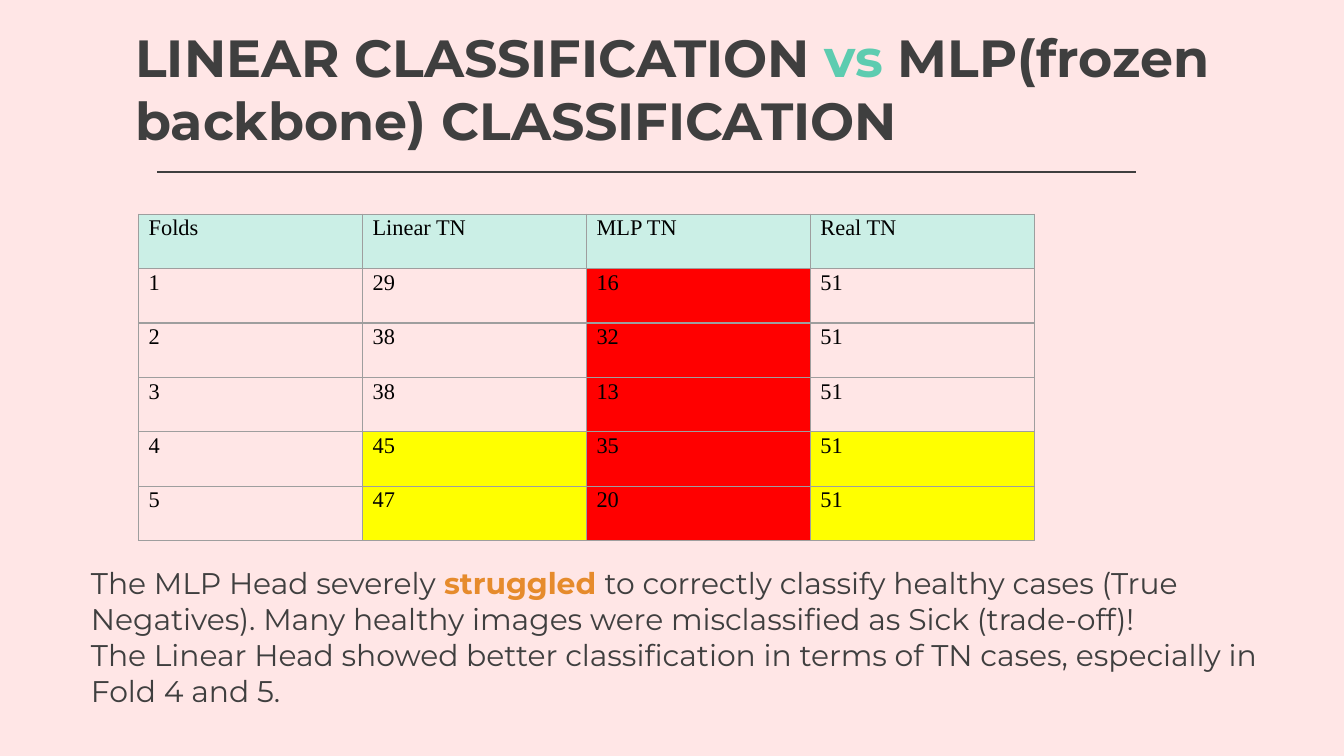
from lxml.etree import SubElement
from pptx import Presentation
from pptx.dml.color import RGBColor
from pptx.enum.shapes import MSO_CONNECTOR as Connector
from pptx.enum.text import MSO_ANCHOR as Anchor
from pptx.oxml.ns import qn
from pptx.util import Cm, Pt

DARK = "3F3F3F"
GREEN = "5DCCB0"
ORANGE = "E68B2C"
PINK = "FFE6E6"
MINT = "CBEFE6"
RED = "FF0000"
YELLOW = "FFFF00"
GRAY = "9E9E9E"
BLACK = "000000"

TITLE = [[
    ("LINEAR CLASSIFICATION ", DARK, True),
    ("vs ", GREEN, True),
    ("MLP(frozen backbone) CLASSIFICATION", DARK, True),
]]
FINDINGS = [
    [
        ("The MLP Head severely ", DARK, False),
        ("struggled ", ORANGE, True),
        ("to correctly classify healthy cases (True Negatives). "
         "Many healthy images were misclassified as Sick (trade-off)!", DARK, False),
    ],
    [("The Linear Head showed better classification in terms of TN cases, "
      "especially in Fold 4 and 5.", DARK, False)],
]
HEADERS = ["Folds", "Linear TN", "MLP TN", "Real TN"]
LINEAR_TN = [29, 38, 38, 45, 47]
MLP_TN = [16, 32, 13, 35, 20]
REAL_TN = 51
MLP_COLUMN = HEADERS.index("MLP TN")
BEST_FOLDS = (4, 5)


def color(value):
    return RGBColor.from_string(value)


def add_text(slide, left, top, width, height, paragraphs, size):
    frame = slide.shapes.add_textbox(Cm(left), Cm(top), Cm(width), Cm(height)).text_frame
    frame.word_wrap = True
    frame.vertical_anchor = Anchor.BOTTOM
    frame.margin_left = frame.margin_right = Cm(0.25)
    frame.margin_top = frame.margin_bottom = Cm(0.25)
    for index, runs in enumerate(paragraphs):
        paragraph = frame.add_paragraph() if index else frame.paragraphs[0]
        paragraph.font.name = "Montserrat"
        paragraph.font.size = Pt(size)
        for text, text_color, bold in runs:
            run = paragraph.add_run()
            run.text = text
            run.font.color.rgb = color(text_color)
            run.font.bold = bold


def add_rule(slide, left, right, top):
    line = slide.shapes.add_connector(
        Connector.STRAIGHT, Cm(left), Cm(top), Cm(right), Cm(top))
    line.line.color.rgb = color(DARK)
    line.line.width = Pt(1.5)
    SubElement(line._element.spPr, qn("a:effectLst"))


def add_borders(cell):
    properties = cell._tc.get_or_add_tcPr()
    for position, side in enumerate(("lnL", "lnR", "lnT", "lnB")):
        border = SubElement(properties, qn(f"a:{side}"), w=str(Pt(0.75)))
        fill = SubElement(border, qn("a:solidFill"))
        SubElement(fill, qn("a:srgbClr"), val=GRAY)
        properties.insert(position, border)


def fill_color(row, column):
    if row == 0:
        return MINT
    if column == MLP_COLUMN:
        return RED
    if row in BEST_FOLDS and column > 0:
        return YELLOW
    return None


def style_cell(cell, text, fill):
    cell.text = str(text)
    cell.margin_left = cell.margin_right = Cm(0.19)
    cell.margin_top = cell.margin_bottom = Cm(0)
    paragraph = cell.text_frame.paragraphs[0]
    paragraph.line_spacing = 1.07
    paragraph.space_after = Pt(8)
    paragraph.font.name = "Times New Roman"
    paragraph.font.size = Pt(12)
    paragraph.font.color.rgb = color(BLACK)
    if fill:
        cell.fill.solid()
        cell.fill.fore_color.rgb = color(fill)
    else:
        cell.fill.background()
    add_borders(cell)


def add_results_table(slide, left, top, width, height):
    folds = range(1, len(LINEAR_TN) + 1)
    rows = [HEADERS]
    rows += [(fold, linear, mlp, REAL_TN)
             for fold, linear, mlp in zip(folds, LINEAR_TN, MLP_TN)]
    table = slide.shapes.add_table(
        len(rows), len(HEADERS), Cm(left), Cm(top), Cm(width), Cm(height)).table
    table.first_row = False
    table.horz_banding = False
    for row, values in enumerate(rows):
        for column, value in enumerate(values):
            style_cell(table.cell(row, column), value, fill_color(row, column))


def main():
    presentation = Presentation()
    presentation.slide_width = Cm(25.4)
    presentation.slide_height = Cm(14.29)
    slide = presentation.slides.add_slide(presentation.slide_layouts[6])
    slide.background.fill.solid()
    slide.background.fill.fore_color.rgb = color(PINK)

    add_text(slide, 2.31, -0.46, 22.43, 3.56, TITLE, 28)
    add_rule(slide, 2.97, 21.46, 3.25)
    add_results_table(slide, 2.62, 4.05, 16.93, 6.17)
    add_text(slide, 1.47, 10.08, 23.29, 3.56, FINDINGS, 16)
    presentation.save("out.pptx")


if __name__ == "__main__":
    main()
